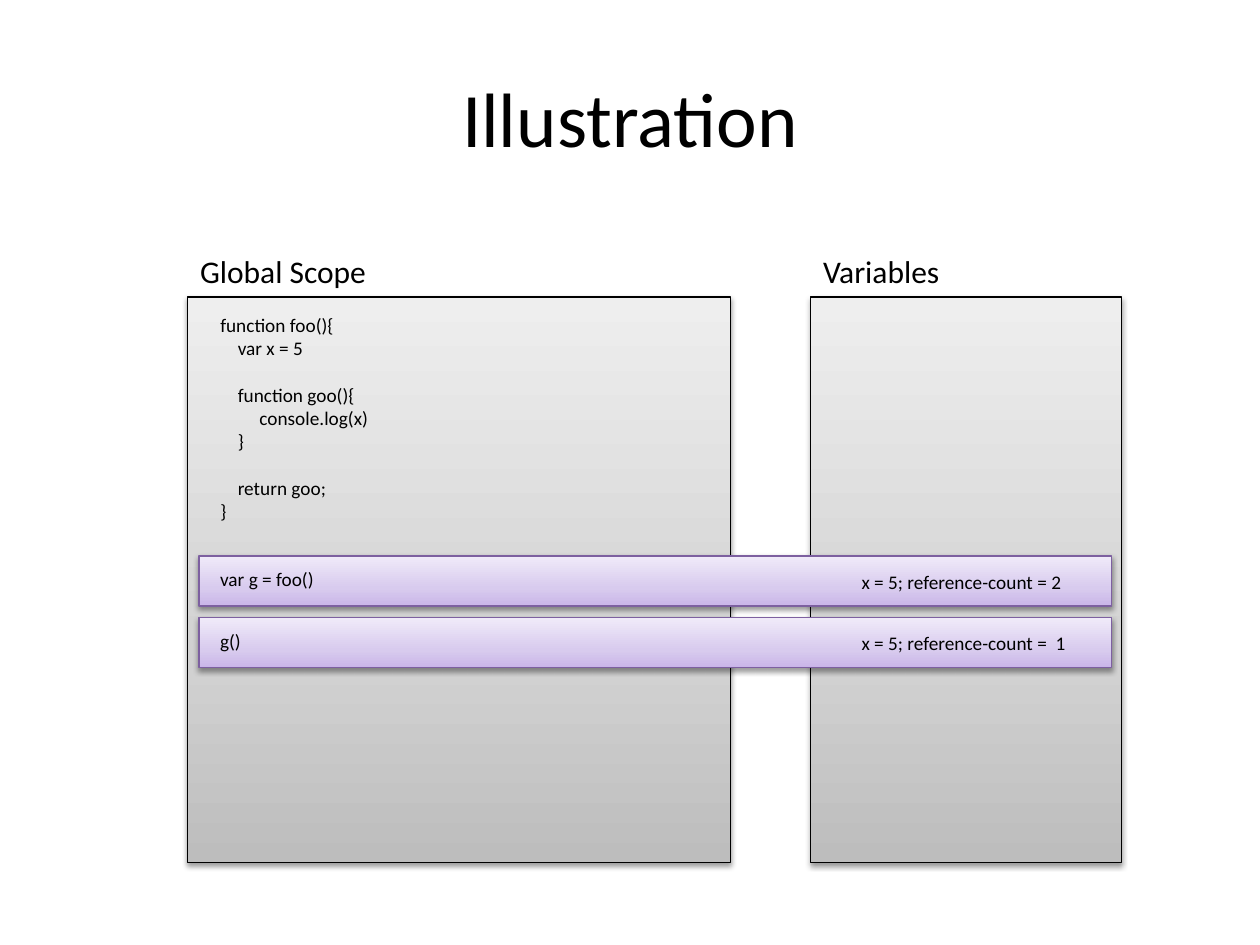
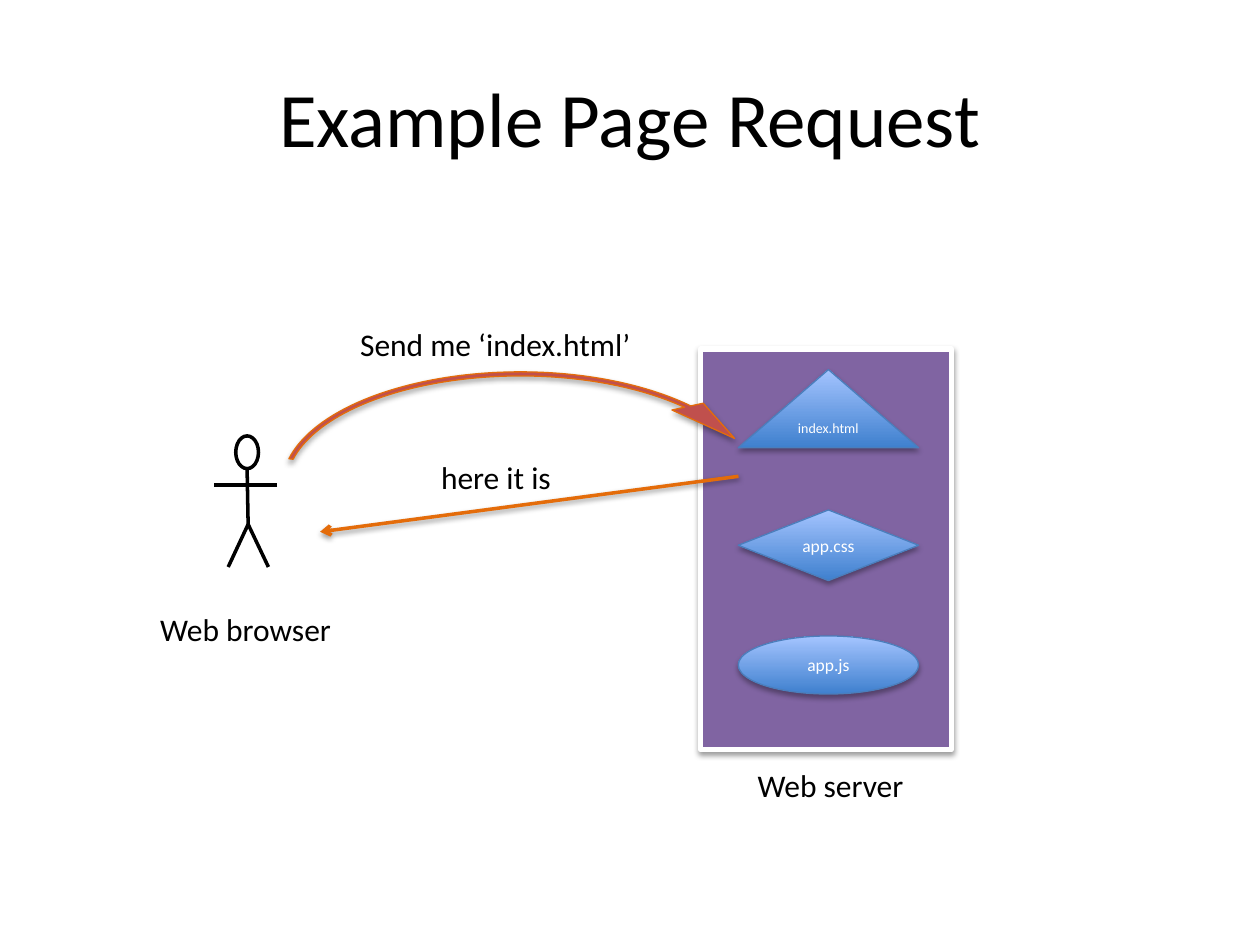
from copy import deepcopy

from lxml.etree import SubElement
from pptx import Presentation
from pptx.dml.color import RGBColor
from pptx.enum.shapes import MSO_CONNECTOR, MSO_SHAPE
from pptx.enum.text import MSO_ANCHOR, PP_ALIGN
from pptx.oxml.ns import qn
from pptx.util import Pt

FONT = "Calibri"
BLACK = RGBColor(0x00, 0x00, 0x00)
WHITE = RGBColor(0xFF, 0xFF, 0xFF)
PURPLE = RGBColor(0x80, 0x64, 0xA2)
PURPLE_LINE = RGBColor(0x7D, 0x60, 0xA0)
BLUE_LINE = RGBColor(0x4B, 0x7E, 0xBC)
RED = RGBColor(0xC0, 0x50, 0x4D)
ORANGE = RGBColor(0xE4, 0x6C, 0x0A)

# Gradients run from bottom to top: (position, colour)
GREY_FADE = [(0, RGBColor(0xBD, 0xBD, 0xBD)), (0.35, RGBColor(0xD1, 0xD1, 0xD1)),
             (1, RGBColor(0xEE, 0xEE, 0xEE))]
LILAC_FADE = [(0, RGBColor(0xC9, 0xB5, 0xE8)), (0.35, RGBColor(0xD8, 0xCB, 0xEE)),
              (1, RGBColor(0xF0, 0xEA, 0xF9))]
BLUE_FADE = [(0, RGBColor(0x3F, 0x80, 0xCE)), (1, RGBColor(0xA4, 0xC4, 0xFF))]

CODE_SIZE = 11
CODE_LINE = 13.4
# (text, indent in points, blank lines before)
FOO_CODE = [("function foo(){", 0, 0), ("var x = 5", 10, 0),
            ("function goo(){", 10, 1), ("console.log(x)", 22.4, 0), ("}", 10, 0),
            ("return goo;", 10, 1), ("}", 0, 0)]


# Shared helpers
def write(p, text, size=18, color=BLACK, align=PP_ALIGN.LEFT, indent=0, before=0):
    p.alignment = align
    if indent:
        p._p.get_or_add_pPr().set("marL", str(Pt(indent)))
    if before:
        p.space_before = Pt(before)
    r = p.add_run()
    r.text = text
    r.font.name, r.font.size, r.font.color.rgb = FONT, Pt(size), color


def label(shapes, x, y, w, h, text, **fmt):
    tf = shapes.add_textbox(Pt(x), Pt(y), Pt(w), Pt(h)).text_frame
    tf.word_wrap = False
    write(tf.paragraphs[0], text, **fmt)
    return tf


def set_shadow(sp, alpha=38, dist=1.6):
    """Give sp a soft shadow below it, or none when alpha is 0."""
    effects = SubElement(sp._element.spPr, qn("a:effectLst"))
    if alpha:
        shadow = SubElement(effects, qn("a:outerShdw"), blurRad=str(Pt(3.1)),
                            dist=str(Pt(dist)), dir="5400000", rotWithShape="0")
        color = SubElement(shadow, qn("a:srgbClr"), val=str(BLACK))
        SubElement(color, qn("a:alpha"), val=str(alpha * 1000))


def set_gradient(sp, fade):
    sp.fill.gradient()
    sp.fill.gradient_angle = 90
    stops = sp._element.spPr.find(f".//{qn('a:gsLst')}")
    while len(stops) < len(fade):
        stops.append(deepcopy(stops[0]))
    for stop, (position, color) in zip(sp.fill.gradient_stops, fade):
        stop.position, stop.color.rgb = position, color


def shape(shapes, kind, x, y, w, h, fill, line, width=0.75, **shadow):
    sp = shapes.add_shape(kind, Pt(x), Pt(y), Pt(w), Pt(h))
    if isinstance(fill, list):
        set_gradient(sp, fill)
    else:
        sp.fill.solid()
        sp.fill.fore_color.rgb = fill
    sp.line.color.rgb, sp.line.width = line, Pt(width)
    set_shadow(sp, **shadow)
    return sp


def line(shapes, start, end, color=BLACK, arrow=False, **shadow):
    c = shapes.add_connector(MSO_CONNECTOR.STRAIGHT, *map(Pt, start + end))
    c.line.color.rgb, c.line.width = color, Pt(2)
    if arrow:
        SubElement(c.line._get_or_add_ln(), qn("a:tailEnd"), type="arrow")
    set_shadow(c, **shadow)


def titled_slide(prs, text):
    s = prs.slides.add_slide(prs.slide_layouts[5])
    title = s.shapes.title
    title.left, title.top, title.width, title.height = map(Pt, (36, 21.6, 648, 90))
    title.text_frame.vertical_anchor = MSO_ANCHOR.MIDDLE
    write(title.text_frame.paragraphs[0], text, size=44, align=PP_ALIGN.CENTER)
    return s.shapes


# Scope illustration
def panel(shapes, x, y, w, h, heading, heading_w):
    shape(shapes, MSO_SHAPE.RECTANGLE, x, y, w, h, GREY_FADE, BLACK)
    label(shapes, x, y - 29.5, heading_w, 29, heading)


def code_block(shapes, x, y, w, h, code):
    (first, _, _), *rest = code
    tf = label(shapes, x, y, w, h, first, size=CODE_SIZE)
    for text, indent, blanks in rest:
        write(tf.add_paragraph(), text, size=CODE_SIZE, indent=indent,
              before=blanks * CODE_LINE)


def call_bar(shapes, x, y, w, h, call, call_w, state, state_w):
    shape(shapes, MSO_SHAPE.RECTANGLE, x, y, w, h, LILAC_FADE, PURPLE_LINE)
    label(shapes, x + 5, y + 3, call_w, 20.6, call, size=CODE_SIZE)
    label(shapes, x + 371.5, y + 4.5, state_w, 20.6, state, size=CODE_SIZE)


def scope_slide(prs):
    shapes = titled_slide(prs, "Illustration")
    panel(shapes, 107.2, 169.8, 310.3, 323.2, "Global Scope", 110)
    panel(shapes, 463.3, 169.8, 177.8, 323.2, "Variables", 83)
    code_block(shapes, 118.8, 175.7, 100, 127.5, FOO_CODE)
    calls = [("var g = foo()", 69, "x = 5; reference-count = 2", 131),
             ("g()", 26.6, "x = 5; reference-count =  1", 134)]
    for i, call in enumerate(calls):
        call_bar(shapes, 113.7, 317.7 + i * 35.2, 521.5, 28.7, *call)


# Page request
def browser(shapes, x, y, w, h):
    """Stick figure with its caption below."""
    figure = shapes.add_group_shape().shapes
    neck, hip = (x + 18.8, y + 18.7), (x + 19.4, y + 50.5)
    shape(figure, MSO_SHAPE.OVAL, x + 12.3, y, 13, 18.7, WHITE, BLACK, 2, alpha=0)
    line(figure, neck, hip, alpha=0)
    for foot in (31, 8):
        line(figure, hip, (x + foot, y + h), alpha=0)
    line(figure, (x + w, y + 28), (x, y + 28), alpha=0)
    label(shapes, x - 38, y + 95.8, 114.5, 29, "Web browser")


def server(shapes, x, y, w, h):
    """Server box holding three files, with its caption below."""
    shape(shapes, MSO_SHAPE.RECTANGLE, x, y, w, h, PURPLE, WHITE, 3)
    label(shapes, x + 25.5, y + 234.7, 99.4, 29, "Web server")
    files = [(MSO_SHAPE.ISOSCELES_TRIANGLE, 11.8, 44.6, "index.html", 8),
             (MSO_SHAPE.DIAMOND, 92, 40.4, "app.css", 10),
             (MSO_SHAPE.OVAL, 164, 33.2, "app.js", 10)]
    for kind, top, height, name, size in files:
        sp = shape(shapes, kind, x + 21.6, y + top, 103, height, BLUE_FADE,
                   BLUE_LINE, alpha=35, dist=1.8)
        sp.text_frame.vertical_anchor = MSO_ANCHOR.MIDDLE
        write(sp.text_frame.paragraphs[0], name, size=size, color=WHITE,
              align=PP_ALIGN.CENTER)


def messages(shapes, x, y, w, h):
    """Curved request arrow and the straight reply under it."""
    arc = shape(shapes, MSO_SHAPE.CIRCULAR_ARROW, x, y, w, h, RED, ORANGE,
                alpha=35, dist=1.8)
    for i, value in enumerate((0.016, 7.712, 200.918, 111.889, 0.063)):
        arc.adjustments[i] = value
    label(shapes, x + 45.3, y - 22.3, 170.6, 29, "Send me ‘index.html’")
    line(shapes, (x + 268.6, y + 67.7), (x + 29.5, y + 99.4), ORANGE, arrow=True)
    label(shapes, x + 91.5, y + 53.5, 78.5, 29, "here it is")


def request_slide(prs):
    shapes = titled_slide(prs, "Example Page Request")
    browser(shapes, 122.4, 249.1, 36, 74.9)
    server(shapes, 400.3, 199.4, 143.3, 229)
    messages(shapes, 153.4, 204.5, 288, 145.4)


def main():
    prs = Presentation()
    prs.slide_width, prs.slide_height = Pt(720), Pt(540)
    scope_slide(prs)
    request_slide(prs)
    prs.save("out.pptx")


if __name__ == "__main__":
    main()
